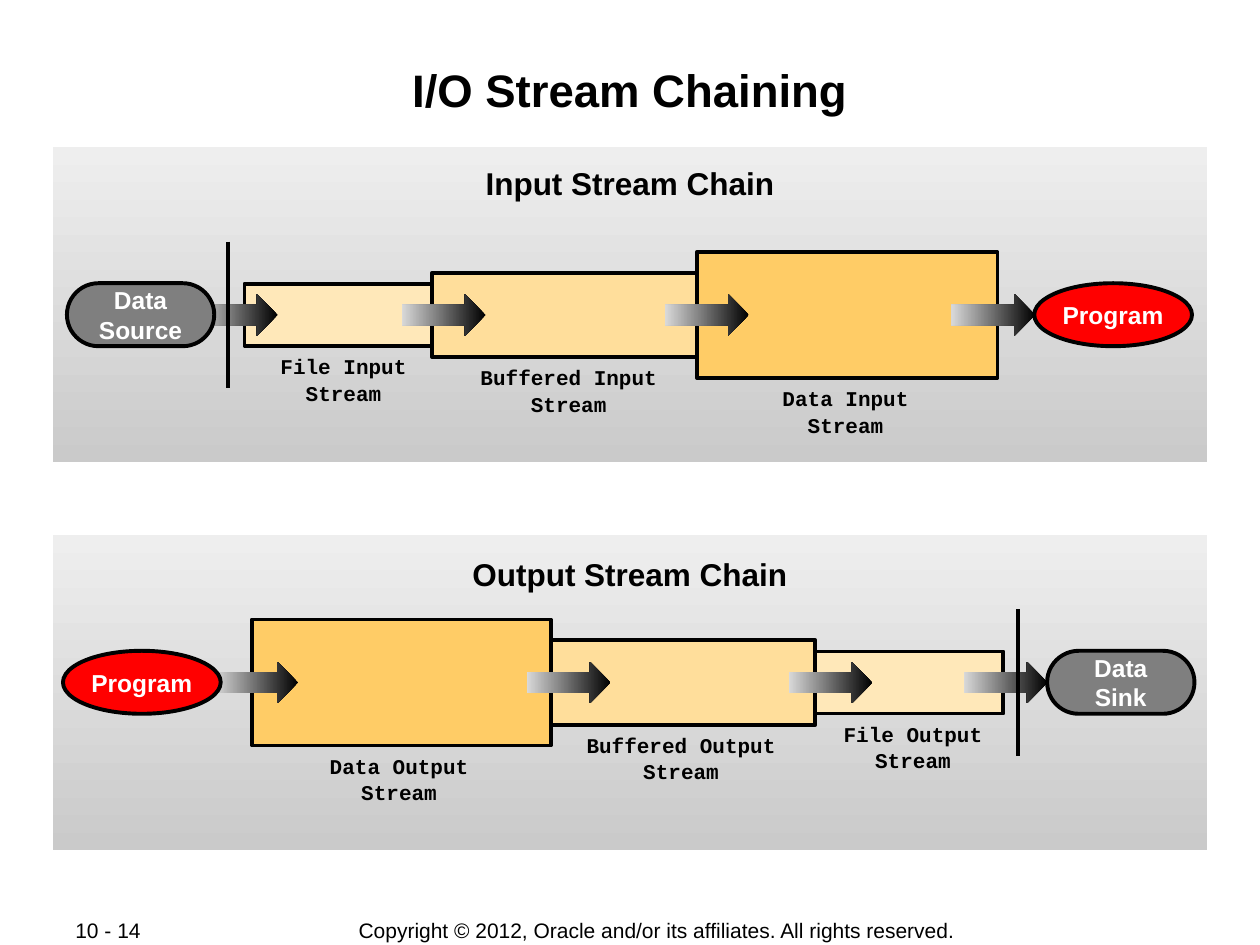
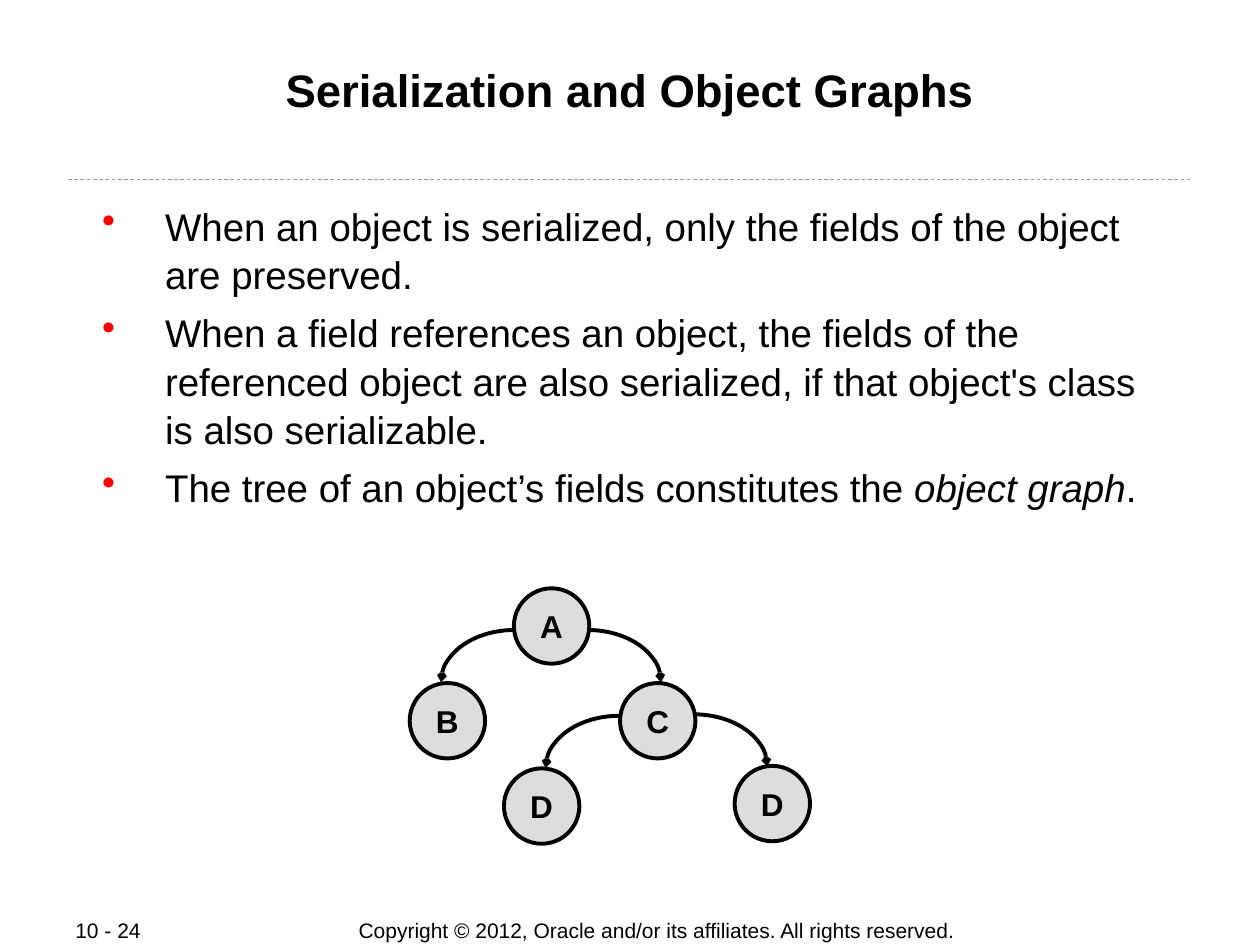
"""Build two slides on chained I/O streams and serialized object graphs."""
from lxml.etree import SubElement
from pptx import Presentation
from pptx.dml.color import RGBColor
from pptx.enum.dml import MSO_LINE
from pptx.enum.shapes import MSO_CONNECTOR, MSO_SHAPE as SHAPE
from pptx.enum.text import MSO_ANCHOR as ANCHOR, MSO_AUTO_SIZE, PP_ALIGN as ALIGN
from pptx.oxml.ns import qn
from pptx.util import Cm, Pt

COLORS = {
    "black": "000000", "white": "FFFFFF", "red": "FF0000", "rule": "999999",
    "panel_dark": "CACACA", "panel_light": "EEEEEE", "arrow_light": "D9D9D9",
    "file": "FFE8B9", "buffered": "FFDE9B", "data": "FFCC66",
    "device": "7F7F7F", "node": "DDDDDD",
}
RGB = {name: RGBColor.from_string(value) for name, value in COLORS.items()}
COPYRIGHT = "Copyright © 2012, Oracle and/or its affiliates. All rights reserved."


def draw(page, kind, left, top, width, height, fill=None, line=None, angle=0):
    """Add a preset shape; fill is a colour name, or two names for a gradient."""
    shape = page.shapes.add_shape(kind, Cm(left), Cm(top), Cm(width), Cm(height))
    shape.shadow.inherit = False
    if isinstance(fill, tuple):
        shape.fill.gradient()
        shape.fill.gradient_angle = angle
        for stop, name in zip(shape.fill.gradient_stops, fill):
            stop.color.rgb = RGB[name]
    elif fill:
        shape.fill.solid()
        shape.fill.fore_color.rgb = RGB[fill]
    else:
        shape.fill.background()
    if line:
        shape.line.color.rgb = RGB[line]
        shape.line.width = Pt(2.25)
    else:
        shape.line.fill.background()
    return shape


def write(shape, text, size, color="black", bold=True, font="Arial",
          align=ALIGN.CENTER, anchor=ANCHOR.MIDDLE, wrap=True, side=0.25, edge=0.13):
    """Put one formatted paragraph into a shape and return the paragraph."""
    frame = shape.text_frame
    frame.word_wrap = wrap
    frame.auto_size = MSO_AUTO_SIZE.NONE
    frame.vertical_anchor = anchor
    frame.margin_left = frame.margin_right = Cm(side)
    frame.margin_top = frame.margin_bottom = Cm(edge)
    para = frame.paragraphs[0]
    para.text = text
    para.alignment = align
    para.space_before = Pt(0)
    para.font.name = font
    para.font.size = Pt(size)
    para.font.bold = bold
    para.font.color.rgb = RGB[color]
    return para


deck = Presentation()
deck.slide_width, deck.slide_height = Cm(25.4), Cm(19.05)

pages = []
for title, number in [("I/O Stream Chaining", "10 - 14"),
                      ("Serialization and Object Graphs", "10 - 24")]:
    page = deck.slides.add_slide(deck.slide_layouts[5])
    heading = page.shapes.title
    heading.left, heading.top = Cm(1.7), Cm(1.22)
    heading.width, heading.height = Cm(22), Cm(2.44)
    write(heading, title, 26, anchor=ANCHOR.TOP, side=0.03, edge=0.03)
    for text, left, width in [(number, 1.27, 2.69), (COPYRIGHT, 6.98, 11.4)]:
        box = page.shapes.add_textbox(Cm(left), Cm(18.49), Cm(width), Cm(0.52))
        write(box, text, 12, bold=False, align=ALIGN.LEFT, wrap=False)
    pages.append(page)
chain_page, graph_page = pages

CHAINS = [
    {
        "title": "Input Stream Chain", "panel_top": 2.97, "title_top": 3.18, "middle": 6.35,
        "streams": [("file", "File Input Stream", 4.93, 4.25, 4.88, 4.09),
                    ("buffered", "Buffered Input Stream", 8.71, 6.38, 8.94, 5.05),
                    ("data", "Data Input Stream", 14.05, 6.06, 15.04, 4.01)],
        "arrows": [3.91, 8.1, 13.41, 19.18], "divider": 4.6,
        "device": ("Data Source", 1.35), "program": 20.85,
    },
    {
        "title": "Output Stream Chain", "panel_top": 10.79, "title_top": 11.05, "middle": 13.76,
        "streams": [("file", "File Output Stream", 15.98, 4.25, 16.08, 4.65),
                    ("buffered", "Buffered Output Stream", 10.06, 6.38, 10.77, 5.92),
                    ("data", "Data Output Stream", 5.08, 6.03, 5.72, 4.65)],
        "arrows": [4.32, 10.62, 15.9, 19.43], "divider": 20.52,
        "device": ("Data Sink", 21.11), "program": 1.27,
    },
]
STREAM_HEIGHTS = {"file": 1.25, "buffered": 1.7, "data": 2.54}

for chain in CHAINS:
    middle = chain["middle"]
    draw(chain_page, SHAPE.RECTANGLE, 1.06, chain["panel_top"], 23.28, 6.35,
         ("panel_dark", "panel_light"), angle=90)
    box = chain_page.shapes.add_textbox(Cm(8.7), Cm(chain["title_top"]), Cm(8), Cm(1.02))
    write(box, chain["title"], 18, anchor=ANCHOR.TOP)

    for stream, label, left, width, label_left, label_width in chain["streams"]:
        height = STREAM_HEIGHTS[stream]
        draw(chain_page, SHAPE.RECTANGLE, left, middle - height / 2, width, height,
             stream, "black")
        box = chain_page.shapes.add_textbox(
            Cm(label_left), Cm(middle + height / 2), Cm(label_width), Cm(1.27))
        para = write(box, label, 12, font="Courier New", anchor=ANCHOR.TOP)
        para.line_spacing = 1.05

    for left in chain["arrows"]:
        draw(chain_page, SHAPE.RIGHT_ARROW, left, middle - 0.42, 1.69, 0.84,
             ("black", "arrow_light"), angle=180)

    name, left = chain["device"]
    device = draw(chain_page, SHAPE.ROUNDED_RECTANGLE, left, middle - 0.64, 2.97, 1.27,
                  "device", "black")
    device.adjustments[0] = 0.5
    write(device, name, 14, "white")
    program = draw(chain_page, SHAPE.OVAL, chain["program"], middle - 0.64, 3.18, 1.27,
                   "red", "black")
    write(program, "Program", 14, "white", side=0)

    divider = chain_page.shapes.add_connector(
        MSO_CONNECTOR.STRAIGHT, Cm(chain["divider"]), Cm(middle - 1.48),
        Cm(chain["divider"]), Cm(middle + 1.48))
    divider.line.color.rgb = RGB["black"]
    divider.line.width = Pt(2.25)
    SubElement(divider._element.spPr, qn("a:effectLst"))

rule = graph_page.shapes.add_connector(
    MSO_CONNECTOR.STRAIGHT, Cm(1.37), Cm(3.61), Cm(24.03), Cm(3.61))
rule.line.color.rgb = RGB["rule"]
rule.line.width = Pt(0.5)
rule.line.dash_style = MSO_LINE.DASH
SubElement(rule._element.spPr, qn("a:effectLst"))

BULLETS = [
    ["When an object is serialized, only the fields of the object are preserved."],
    ["When a field references an object, the fields of the referenced object are also "
     "serialized, if that object's class is also serializable."],
    ["The tree of an object’s fields constitutes the ", "object graph", "."],
]
body = graph_page.shapes.add_textbox(Cm(1.7), Cm(4.01), Cm(22), Cm(7.16))
frame = body.text_frame
frame.word_wrap = True
frame.margin_left = frame.margin_right = frame.margin_top = frame.margin_bottom = Cm(0.03)
for index, pieces in enumerate(BULLETS):
    para = frame.add_paragraph() if index else frame.paragraphs[0]
    para.line_spacing = 1.05
    para.space_before = Pt(5.5 if index else 0)
    props = para._p.get_or_add_pPr()
    props.set("marL", str(Cm(1.6)))
    props.set("indent", str(Cm(-1.27)))
    bullet_color = SubElement(props, qn("a:buClr"))
    SubElement(bullet_color, qn("a:srgbClr"), val=COLORS["red"])
    SubElement(props, qn("a:buChar"), char="•")
    para.font.name = "Arial"
    para.font.size = Pt(22)
    para.font.color.rgb = RGB["black"]
    for piece in pieces:
        span = para.add_run()
        span.text = piece
        if piece == "object graph":
            span.font.italic = True

EDGES = [("right", 10.36, 12.7), ("left", 8.89, 12.7),
         ("right", 12.5, 14.4), ("left", 11, 14.43)]
ARCS = {"right": (162, 0, "a:tailEnd"), "left": (108, 162, "a:headEnd")}
for side, left, top in EDGES:
    start, end, arrowhead = ARCS[side]
    edge = draw(graph_page, SHAPE.ARC, left, top, 2.97, 2.11, line="black")
    edge.adjustments[0], edge.adjustments[1] = start, end
    SubElement(edge.line._get_or_add_ln(), qn(arrowhead), type="arrow", w="sm", len="sm")

NODES = [("A", 10.36, 11.86), ("B", 8.26, 13.77), ("C", 12.5, 13.77),
         ("D", 10.16, 15.49), ("D", 14.81, 15.44)]
for name, left, top in NODES:
    node = draw(graph_page, SHAPE.OVAL, left, top, 1.52, 1.52, "node", "black")
    write(node, name, 18)

deck.save("out.pptx")
